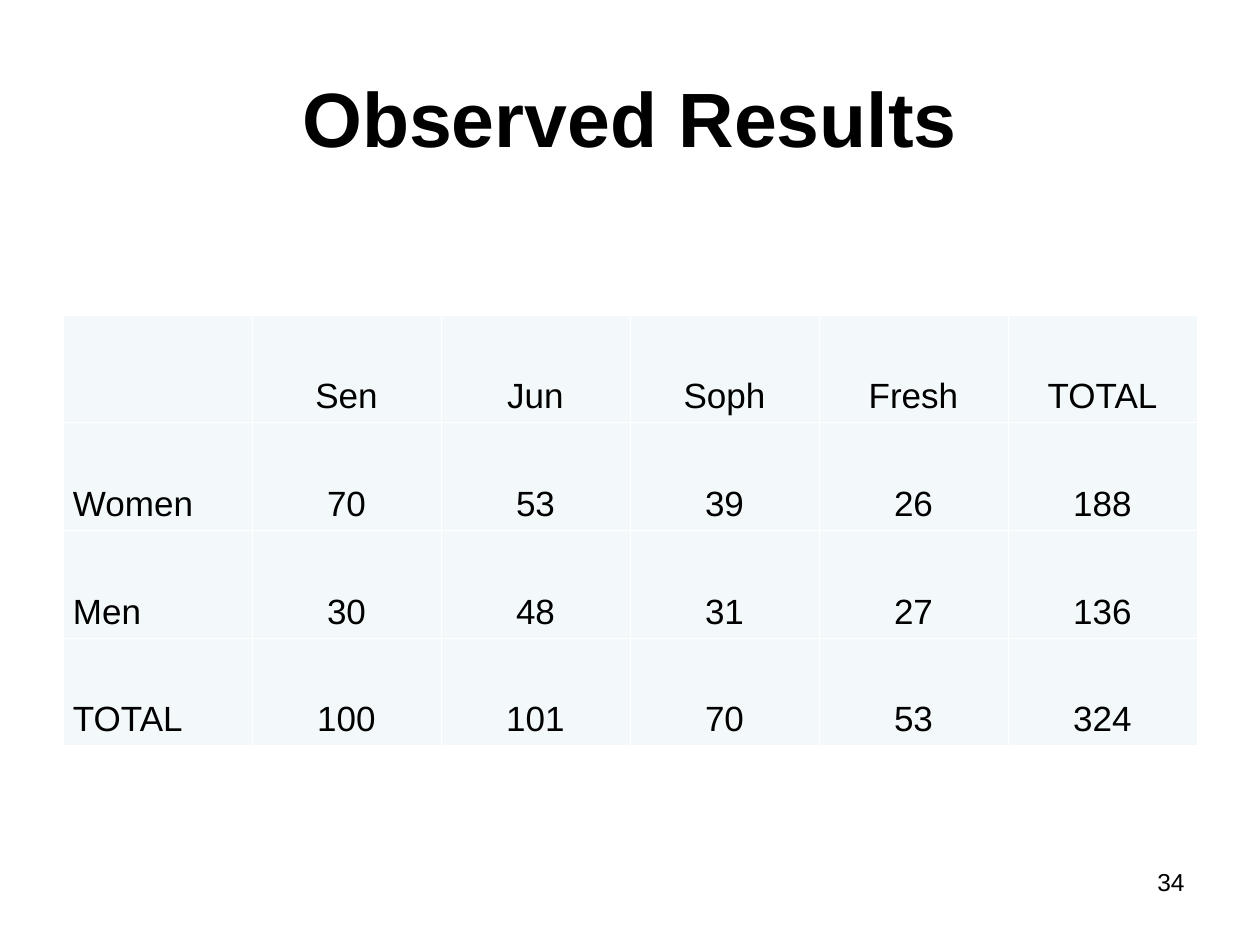
from dataclasses import dataclass

from lxml import etree
from pptx import Presentation
from pptx import util as u
from pptx.dml.color import RGBColor
from pptx.enum import text
from pptx.oxml.ns import qn

HEADING = "Observed Results"
COUNTS = [
    ("", "Sen", "Jun", "Soph", "Fresh", "TOTAL"),
    ("Women", "70", "53", "39", "26", "188"),
    ("Men", "30", "48", "31", "27", "136"),
    ("TOTAL", "100", "101", "70", "53", "324"),
]
PAGE_NUMBER = "34"


@dataclass(frozen=True)
class Theme:
    font: str = "Arial"
    ink: str = "000000"
    cell: str = "F3F9FA"
    rule: str = "FFFFFF"
    rule_width: float = 0.45
    heading_size: int = 44
    count_size: int = 20
    page_size: int = 14


THEME = Theme()
MARGIN = u.Cm(1.27)
CONTENT_WIDTH = u.Cm(22.86)
COUNTS_TOP = u.Cm(6.35)
ROW_HEIGHT = u.Cm(2.17)
CELL_FORMAT = {
    "vertical_anchor": text.MSO_ANCHOR.BOTTOM,
    "margin_left": u.Cm(0.2),
    "margin_right": u.Cm(0.2),
    "margin_top": u.Cm(0.13),
    "margin_bottom": u.Cm(0.13),
}


def apply(target, values):
    for name, value in values.items():
        setattr(target, name, value)


def write(paragraph, words, size, bold=False, **layout):
    paragraph.text = words
    apply(paragraph, layout)
    apply(paragraph.font, {"name": THEME.font, "size": u.Pt(size), "bold": bold})
    paragraph.font.color.rgb = RGBColor.from_string(THEME.ink)


def add_label(slide, place, words, size, anchor, align, bold=False):
    frame = slide.shapes.add_textbox(*place).text_frame
    apply(frame, {"word_wrap": True, "vertical_anchor": anchor})
    write(frame.paragraphs[0], words, size, bold, alignment=align)


def rule_cell(cell):
    """Draw the thin rule on all four sides, ahead of the fill as the schema asks."""
    properties = cell._tc.get_or_add_tcPr()
    for position, side in enumerate(("lnL", "lnR", "lnT", "lnB")):
        line = etree.Element(qn(f"a:{side}"), w=str(u.Pt(THEME.rule_width)))
        fill = etree.SubElement(line, qn("a:solidFill"))
        etree.SubElement(fill, qn("a:srgbClr"), val=THEME.rule)
        properties.insert(position, line)


def add_counts(slide):
    rows, columns = len(COUNTS), len(COUNTS[0])
    counts = slide.shapes.add_table(
        rows, columns, MARGIN, COUNTS_TOP, CONTENT_WIDTH, ROW_HEIGHT * rows
    ).table
    for r, record in enumerate(COUNTS):
        for c, words in enumerate(record):
            cell = counts.cell(r, c)
            apply(cell, CELL_FORMAT)
            cell.fill.solid()
            cell.fill.fore_color.rgb = RGBColor.from_string(THEME.cell)
            rule_cell(cell)
            align = text.PP_ALIGN.CENTER if c else text.PP_ALIGN.LEFT
            write(cell.text_frame.paragraphs[0], words, THEME.count_size,
                  alignment=align, line_spacing=1.5)


def main():
    deck = Presentation()
    apply(deck, {"slide_width": u.Cm(25.4), "slide_height": u.Cm(19.05)})
    slide = deck.slides.add_slide(deck.slide_layouts[6])
    add_label(slide, (MARGIN, u.Cm(0.76), CONTENT_WIDTH, u.Cm(3.18)), HEADING,
              THEME.heading_size, text.MSO_ANCHOR.MIDDLE, text.PP_ALIGN.CENTER, bold=True)
    add_counts(slide)
    add_label(slide, (u.Cm(18.21), u.Cm(17.35), u.Cm(5.92), u.Cm(1.32)), PAGE_NUMBER,
              THEME.page_size, text.MSO_ANCHOR.TOP, text.PP_ALIGN.RIGHT)
    deck.save("out.pptx")


if __name__ == "__main__":
    main()
